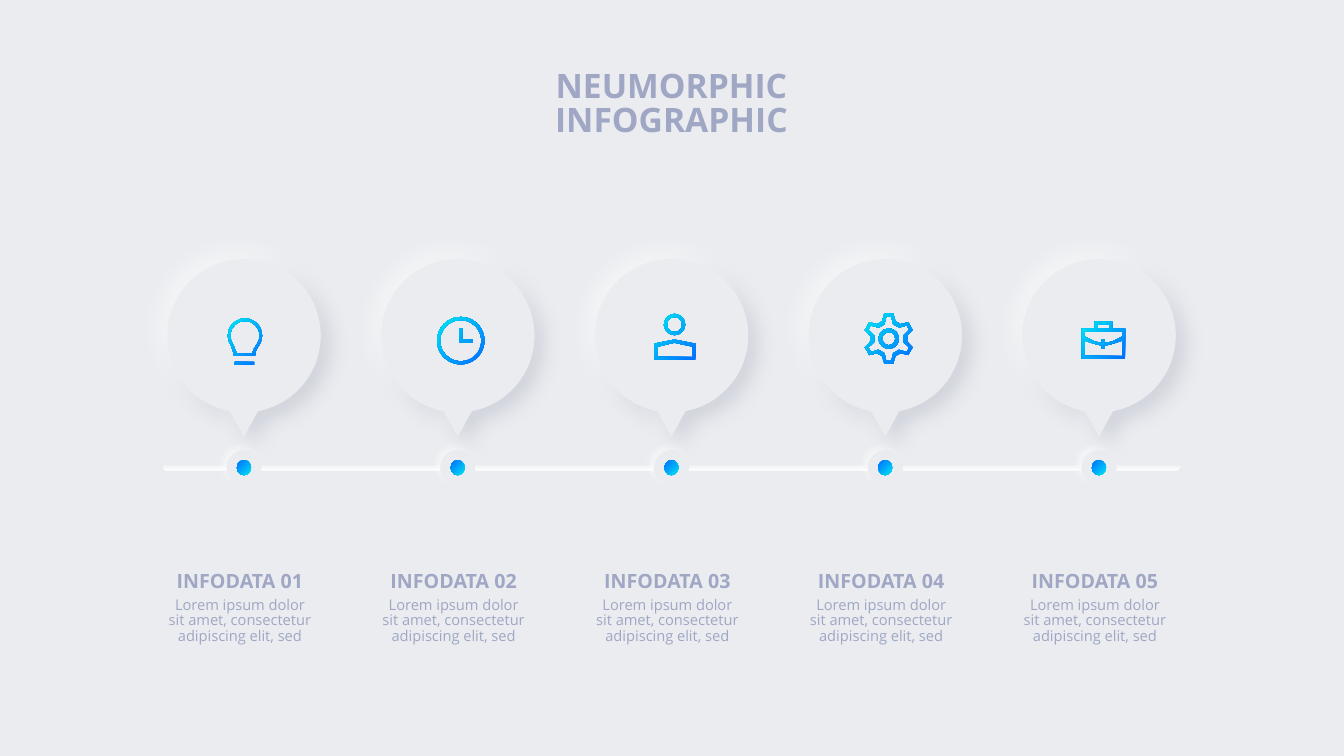
from math import cos, radians, sin

from lxml import etree
from pptx import Presentation
from pptx.dml.color import RGBColor
from pptx.enum.shapes import MSO_SHAPE
from pptx.enum.text import MSO_ANCHOR, MSO_AUTO_SIZE, PP_ALIGN
from pptx.oxml.ns import qn
from pptx.util import Inches, Pt

OVAL, ROUNDED = MSO_SHAPE.OVAL, MSO_SHAPE.ROUNDED_RECTANGLE
TOP, CENTER, NO_FIT = MSO_ANCHOR.TOP, PP_ALIGN.CENTER, MSO_AUTO_SIZE.NONE

SURFACE, TEXT, WHITE, SHADE = "EBECF0", "9FA7C4", "FFFFFF", "ACB0C0"
BLUE, CYAN = "006EFF", "00E6F2"

TITLE_FONT = {"name": "Open Sans", "size": Pt(24), "bold": True}
LABEL_FONT = {"name": "Open Sans", "size": Pt(14), "bold": True}
BODY_FONT = {"name": "Open Sans", "size": Pt(10.5), "bold": False}

FIRST_CENTER, PITCH = 2.42, 2.12
BUBBLE_Y, BUBBLE_RADIUS, DOT_Y = 3.33, 0.76, 4.64
BODY = "Lorem ipsum dolor sit amet, consectetur adipiscing elit, sed"


def rgb(color):
    return RGBColor.from_string(color)


def paint(shape, *colors, angle=0):
    """Fill with one colour, or with a two-colour gradient, and drop the line."""
    if len(colors) == 1:
        shape.fill.solid()
        shape.fill.fore_color.rgb = rgb(colors[0])
    else:
        shape.fill.gradient()
        shape.fill.gradient_angle = angle
        for stop, color in zip(shape.fill.gradient_stops, colors):
            stop.color.rgb = rgb(color)
    shape.line.fill.background()
    shape.shadow.inherit = False


def cast_shadow(shape, color, alpha, blur, distance, direction):
    effects = shape._element.spPr.find(qn("a:effectLst"))
    shadow = etree.SubElement(
        effects, qn("a:outerShdw"), blurRad=str(Pt(blur)), dist=str(Pt(distance)),
        dir=str(direction * 60000), algn="ctr", rotWithShape="0")
    tint = etree.SubElement(shadow, qn("a:srgbClr"), val=color)
    etree.SubElement(tint, qn("a:alpha"), val=str(alpha * 1000))


def write(box, lines, font, spacing, wrap=True, inset=(0, 0)):
    frame = box.text_frame
    frame.auto_size, frame.word_wrap, frame.vertical_anchor = NO_FIT, wrap, TOP
    frame.margin_left = frame.margin_right = Inches(inset[0])
    frame.margin_top = frame.margin_bottom = Inches(inset[1])
    for index, line in enumerate(lines):
        para = frame.paragraphs[0] if index == 0 else frame.add_paragraph()
        para.alignment, para.line_spacing = CENTER, spacing
        para.space_before = Pt(0)
        span = para.add_run()
        span.text = line
        for name, value in font.items():
            setattr(span.font, name, value)
        span.font.color.rgb = rgb(TEXT)


def add_oval(page, x, y, width, height):
    return page.shapes.add_shape(OVAL, Inches(x - width / 2), Inches(y - height / 2),
                                 Inches(width), Inches(height))


def add_outline(page, x, y, contours, unit=1.0):
    """Draw closed contours around x, y; a point with extra values ends an arc."""
    placed = [[(Inches(x + point[0] * unit), Inches(y + point[1] * unit))
               for point in contour] for contour in contours]
    builder = page.shapes.build_freeform(*placed[0][0])
    for index, points in enumerate(placed):
        if index:
            builder.move_to(*points[0])
        builder.add_line_segments(points[1:], close=True)
    shape = builder.convert_to_shape()
    outline = next(shape._element.iter(qn("a:path")))
    ends = [point for contour in contours for point in contour + [()]]
    for step, point in zip(list(outline), ends):
        if step.tag == qn("a:lnTo") and len(point) > 2:
            radius, start, sweep = point[2:]
            size = str(Inches(radius * unit))
            bend = etree.Element(qn("a:arcTo"), wR=size, hR=size,
                                 stAng=str(round(start * 60000)),
                                 swAng=str(round(sweep * 60000)))
            outline.replace(step, bend)
    return shape


def polar(x, y, radius, angle):
    return x + radius * cos(radians(angle)), y + radius * sin(radians(angle))


def arc(x, y, radius, start=0, end=360):
    """Give the arc's points, split at each quarter turn."""
    angles = [start] + [turn for turn in range(0, 450, 90) if start < turn < end] + [end]
    return [polar(x, y, radius, start)] + [
        (*polar(x, y, radius, after), radius, before % 360, after - before)
        for before, after in zip(angles, angles[1:])]


def rectangle(left, top, right, bottom):
    return [(left, top), (right, top), (right, bottom), (left, bottom)]


def gear_outline(x, y, tip, tip_angle, root, root_angle):
    corners = [(root, -root_angle), (tip, -tip_angle), (tip, tip_angle), (root, root_angle)]
    return [polar(x, y, radius, turn + angle)
            for turn in range(-90, 270, 60) for radius, angle in corners]


# Icon contours are in hundredths of an inch around the bubble's centre.
BULB = [
    rectangle(-9, 26, 10, 29),
    arc(1, 0, 17, 145, 395) + [(12, 15), (11, 20), (-10, 20), (-11, 15)],
    arc(1, 0, 14.5, 145, 395) + [(10, 13), (8, 18), (-7, 18), (-9, 13)],
]
CLOCK = [
    arc(3, 5, 23.5), arc(3, 5, 20.5),
    [(15, 7), (1.5, 7), (1.5, -7), (4.5, -7), (4.5, 4), (15, 4)],
]
PERSON = [
    arc(3, -11, 10.5), arc(3, -11, 7.5),
    [(24, 8), (3, 4), (-17, 8), (-17, 24), (24, 24)],
    [(21, 11), (3, 7), (-14, 11), (-14, 21), (21, 21)],
]
GEAR = [
    gear_outline(3.5, 3, 25.2, 10, 18.5, 21), gear_outline(3.5, 3, 22.1, 6.5, 15, 17),
    arc(3.5, 3, 10), arc(3.5, 3, 6.5),
]
BRIEFCASE = [
    [(26, -7), (13, -7), (13, -14), (-4, -14), (-4, -7), (-17, -7), (-17, 23), (26, 23)],
    rectangle(-1, -11, 10, -7),
    [(-14, -4), (23, -4), (23, 1), (13, 6), (6, 7), (6, 4), (3, 4), (3, 7), (-4, 6),
     (-14, 1)],
    [(-14, 20), (-14, 5), (-5, 8), (3, 10), (3, 13), (6, 13), (6, 10), (14, 8), (23, 5),
     (23, 20)],
]


def add_title(page, left, top, width, height):
    title = page.shapes.title
    title.left, title.top = Inches(left), Inches(top)
    title.width, title.height = Inches(width), Inches(height)
    write(title, ["NEUMORPHIC", "INFOGRAPHIC"], TITLE_FONT, Pt(24.5))


def add_timeline(page, left, top, width, height):
    bar = page.shapes.add_shape(ROUNDED, Inches(left), Inches(top),
                                Inches(width), Inches(height))
    bar.adjustments[0] = 0.5
    paint(bar, WHITE, SURFACE, angle=90)


def add_marker(page, x, y):
    ring = add_oval(page, x, y, 0.35, 0.35)
    paint(ring, SURFACE)
    cast_shadow(ring, WHITE, 56, 5, 4, 225)
    dot = add_oval(page, x, y, 0.14, 0.15)
    paint(dot, CYAN, BLUE, angle=135)


def add_bubble(page, x, y, icon):
    outline = arc(0, 0, BUBBLE_RADIUS, 100.5, 439.5) + [(0, 1)]
    for shadow in ((SHADE, 42, 14, 9, 45), (WHITE, 56, 17, 9, 225)):
        bubble = add_outline(page, x, y, [outline])
        paint(bubble, SURFACE)
        cast_shadow(bubble, *shadow)
    symbol = add_outline(page, x, y, icon, unit=0.01)
    paint(symbol, BLUE, CYAN, angle=135)


def add_caption(page, x, top, label):
    def text_box(offset, width, height):
        return page.shapes.add_textbox(Inches(x - width / 2), Inches(top + offset),
                                       Inches(width), Inches(height))

    write(text_box(0, 1.26, 0.26), [label], LABEL_FONT, 1.0, wrap=False)
    write(text_box(0.24, 1.68, 0.63), [BODY], BODY_FONT, 0.88, inset=(0.1, 0.05))


def main():
    deck = Presentation()
    deck.slide_width, deck.slide_height = Inches(13.33), Inches(7.5)
    page = deck.slides.add_slide(deck.slide_layouts[5])
    page.background.fill.solid()
    page.background.fill.fore_color.rgb = rgb(SURFACE)

    add_title(page, 5.16, 0.7, 3, 0.68)
    add_timeline(page, 1.62, 4.6, 10.08, 0.07)
    for index, icon in enumerate((BULB, CLOCK, PERSON, GEAR, BRIEFCASE)):
        x = FIRST_CENTER + PITCH * index
        add_marker(page, x, DOT_Y)
        add_bubble(page, x, BUBBLE_Y, icon)
        add_caption(page, x - 0.04, 5.64, f"INFODATA {index + 1:02d}")
    deck.save("out.pptx")


if __name__ == "__main__":
    main()
